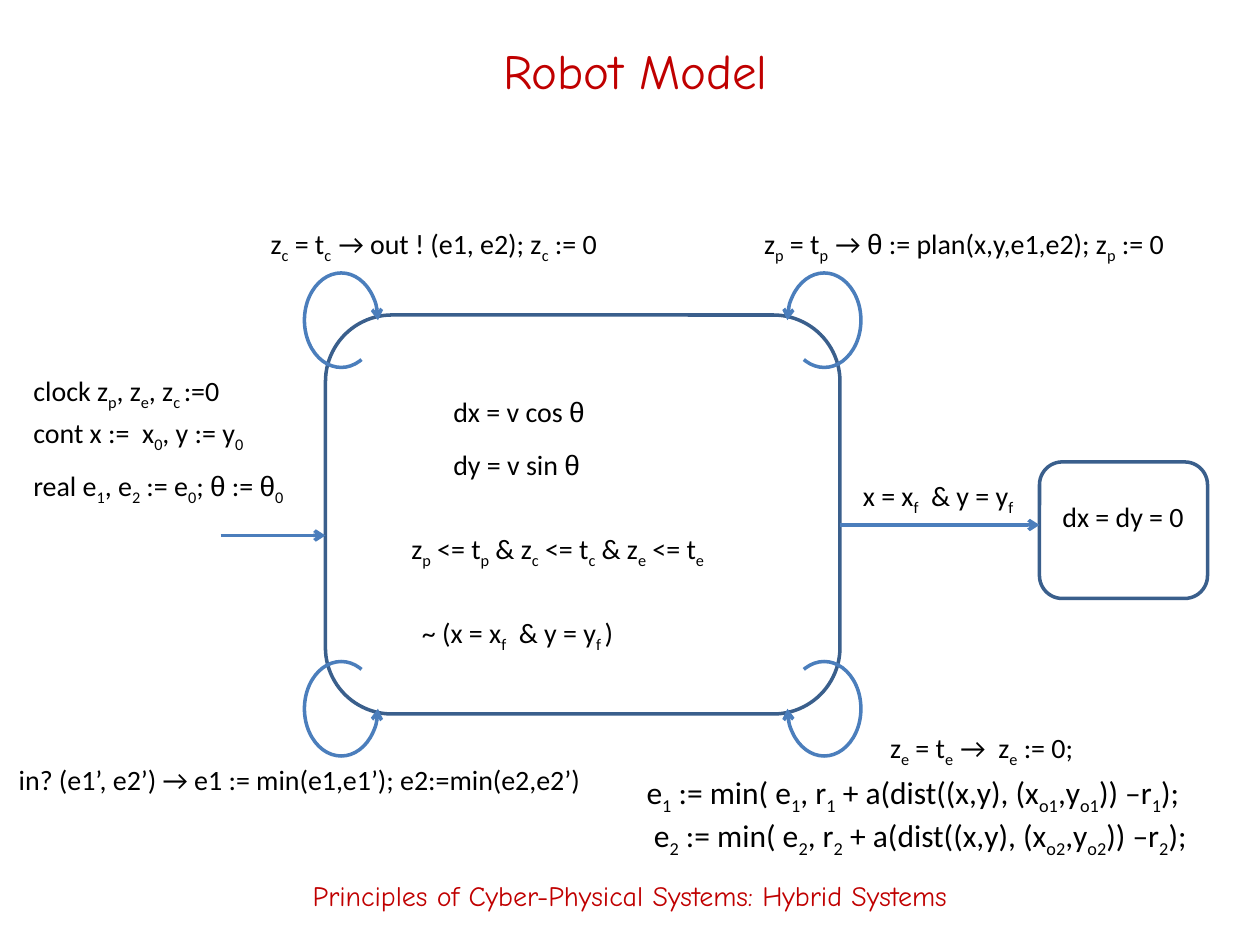
from dataclasses import dataclass
from itertools import groupby

from lxml import etree
from pptx import Presentation
from pptx.dml.color import RGBColor
from pptx.enum.shapes import MSO_CONNECTOR, MSO_SHAPE
from pptx.enum.text import MSO_ANCHOR, MSO_AUTO_SIZE, PP_ALIGN
from pptx.oxml.ns import qn
from pptx.util import Inches, Pt

STRAIGHT = MSO_CONNECTOR.STRAIGHT
ROUNDED, ARC = MSO_SHAPE.ROUNDED_RECTANGLE, MSO_SHAPE.ARC
MIDDLE, CENTER = MSO_ANCHOR.MIDDLE, PP_ALIGN.CENTER
FIT_SHAPE, NO_FIT = MSO_AUTO_SIZE.SHAPE_TO_FIT_TEXT, MSO_AUTO_SIZE.NONE


@dataclass(frozen=True)
class Theme:
    accent: RGBColor = RGBColor(0xC0, 0x00, 0x00)
    text: RGBColor = RGBColor(0, 0, 0)
    state: RGBColor = RGBColor(0x3A, 0x5F, 0x8C)
    transition: RGBColor = RGBColor(0x4B, 0x7E, 0xBC)
    heading_font: str = "Comic Neue"
    body_font: str = "Calibri"
    greek_font: str = "Arial"
    title_size: int = 28
    update_size: int = 18
    body_size: int = 16
    line_width: int = 2


THEME = Theme()

# The slide is a grid of 120 columns by 90 rows; every length is in grid cells.
COLUMNS, ROWS = 120, 90
CELL = Inches(10) / COLUMNS

TITLE = "Robot Model"
FOOTER = "Principles of Cyber-Physical Systems: Hybrid Systems"
TITLE_BOX = (9, 2, 103, 9.4)
FOOTER_BOX = (0, 80.6, COLUMNS, 9.4)

MOVING_STATE = (31, 30, 49, 38)
FINAL_STATE = (99, 44, 16, 13)
ARROWS = [(21, 31, 51), (80, 99, 50)]  # from column, to column, row

LOOP_WIDTH, LOOP_HEIGHT = 7, 9
LOOP_OUT_X, LOOP_OUT_Y = 2, 4  # how far a loop reaches outside the state
LOOP_START_DEGREES = 62.65

# Braces mark subscripts: (left, top, width, text)
LABELS = [
    (2, 35, 20.6, "clock z{p}, z{e}, z{c }:=0"),
    (2, 39, 22.9, "cont x :=  x{0}, y := y{0}"),
    (2, 44, 27.2, "real e{1}, e{2} := e{0}; θ := θ{0}"),
    (42, 37, 15.6, "dx = v cos θ"),
    (42, 42, 15.1, "dy = v sin θ"),
    (38, 50, 31.8, "z{p} <= t{p} & z{c} <= t{c} & z{e} <= t{e}"),
    (39, 58, 21.7, "~ (x = x{f}  & y = y{f })"),
    (81, 45, 17.6, "x = x{f}  & y = y{f}"),
    (100, 47, 14.2, "dx = dy = 0"),
    (24.6, 21, 35.8, "z{c} = t{c  }→ out ! (e1, e2); z{c} := 0"),
    (71.6, 21, 42.6, "z{p} = t{p  }→ θ := plan(x,y,e1,e2); z{p} := 0"),
    (83.6, 69, 21.6, "z{e} = t{e  }→  z{e} := 0;"),
    (0.6, 72, 57.5, "in? (e1’, e2’) → e1 := min(e1,e1’); e2:=min(e2,e2’)"),
]
LABEL_HEIGHT = 4.4

UPDATE_BOX = (60.4, 73, 55.5, 8.5)
UPDATE_INDENT = 0.7
UPDATES = [
    f"e{{{n}}} := min( e{{{n}}}, r{{{n}}} + a(dist((x,y), (x{{o{n}}},y{{o{n}}})) –r{{{n}}});"
    for n in (1, 2)
]


def cells(*lengths):
    return [round(length * CELL) for length in lengths]


def add_run(paragraph, text, size, font, color):
    run = paragraph.add_run()
    run.text = text
    run.font.size = Pt(size)
    run.font.name = font
    run.font.color.rgb = color
    return run


def write_formula(paragraph, formula, size):
    """Write braced parts as subscripts and theta in the Greek font."""
    for index, part in enumerate(formula.replace("}", "{").split("{")):
        for is_greek, letters in groupby(part, key=lambda letter: letter == "θ"):
            font = THEME.greek_font if is_greek else THEME.body_font
            run = add_run(paragraph, "".join(letters), size, font, THEME.text)
            if index % 2:
                run.font._element.set("baseline", "-25000")


def add_formula_box(slide, box, formulas, size, indent=0):
    """Stack formulas in one box, each indented one step more than the last."""
    frame = slide.shapes.add_textbox(*cells(*box)).text_frame
    frame.word_wrap = False
    frame.auto_size = FIT_SHAPE
    for index, formula in enumerate(formulas):
        paragraph = frame.add_paragraph() if index else frame.paragraphs[0]
        if index and indent:
            paragraph._p.get_or_add_pPr().set("marL", str(cells(index * indent)[0]))
        write_formula(paragraph, formula, size)


def write_heading(shape, text, size):
    frame = shape.text_frame
    frame.word_wrap = True
    frame.auto_size = NO_FIT
    frame.vertical_anchor = MIDDLE
    paragraph = frame.paragraphs[0]
    paragraph.alignment = CENTER
    add_run(paragraph, text, size, THEME.heading_font, THEME.accent)


def style_line(shape, color, arrow=False):
    shape.line.color.rgb = color
    shape.line.width = Pt(THEME.line_width)
    if arrow:
        etree.SubElement(shape.line._get_or_add_ln(), qn("a:tailEnd"), type="arrow")


def add_outline(slide, kind, box, color, arrow=False):
    shape = slide.shapes.add_shape(kind, *cells(*box))
    shape.shadow.inherit = False
    shape.fill.background()
    style_line(shape, color, arrow)
    return shape


def add_arrow(slide, start, end, row):
    arrow = slide.shapes.add_connector(STRAIGHT, *cells(start, row, end, row))
    style_line(arrow, THEME.transition, arrow=True)
    etree.SubElement(arrow._element.spPr, qn("a:effectLst"))


def add_self_loop(slide, state, at_right, at_bottom):
    """Draw a transition looping round one corner of the state."""
    left, top, width, height = state
    x = left + width + LOOP_OUT_X - LOOP_WIDTH if at_right else left - LOOP_OUT_X
    y = top + height + LOOP_OUT_Y - LOOP_HEIGHT if at_bottom else top - LOOP_OUT_Y
    box = (x, y, LOOP_WIDTH, LOOP_HEIGHT)
    loop = add_outline(slide, ARC, box, THEME.transition, arrow=True)
    loop.adjustments[0] = LOOP_START_DEGREES * 0.6  # 60000 per degree, over 100000
    loop.adjustments[1] = 0
    transform = loop._element.spPr.find(qn("a:xfrm"))
    for name, flipped in (("flipH", at_right), ("flipV", at_bottom)):
        if flipped:
            transform.set(name, "1")


def main():
    presentation = Presentation()
    presentation.slide_width, presentation.slide_height = cells(COLUMNS, ROWS)
    slide = presentation.slides.add_slide(presentation.slide_layouts[5])

    title = slide.shapes.title
    title.left, title.top, title.width, title.height = cells(*TITLE_BOX)
    write_heading(title, TITLE, THEME.title_size)

    for state in (MOVING_STATE, FINAL_STATE):
        add_outline(slide, ROUNDED, state, THEME.state)
    for arrow in ARROWS:
        add_arrow(slide, *arrow)
    for at_right in (False, True):
        for at_bottom in (False, True):
            add_self_loop(slide, MOVING_STATE, at_right, at_bottom)

    for left, top, width, formula in LABELS:
        box = (left, top, width, LABEL_HEIGHT)
        add_formula_box(slide, box, [formula], THEME.body_size)
    add_formula_box(slide, UPDATE_BOX, UPDATES, THEME.update_size, UPDATE_INDENT)

    footer = slide.shapes.add_textbox(*cells(*FOOTER_BOX))
    write_heading(footer, FOOTER, THEME.body_size)
    presentation.save("out.pptx")


if __name__ == "__main__":
    main()
